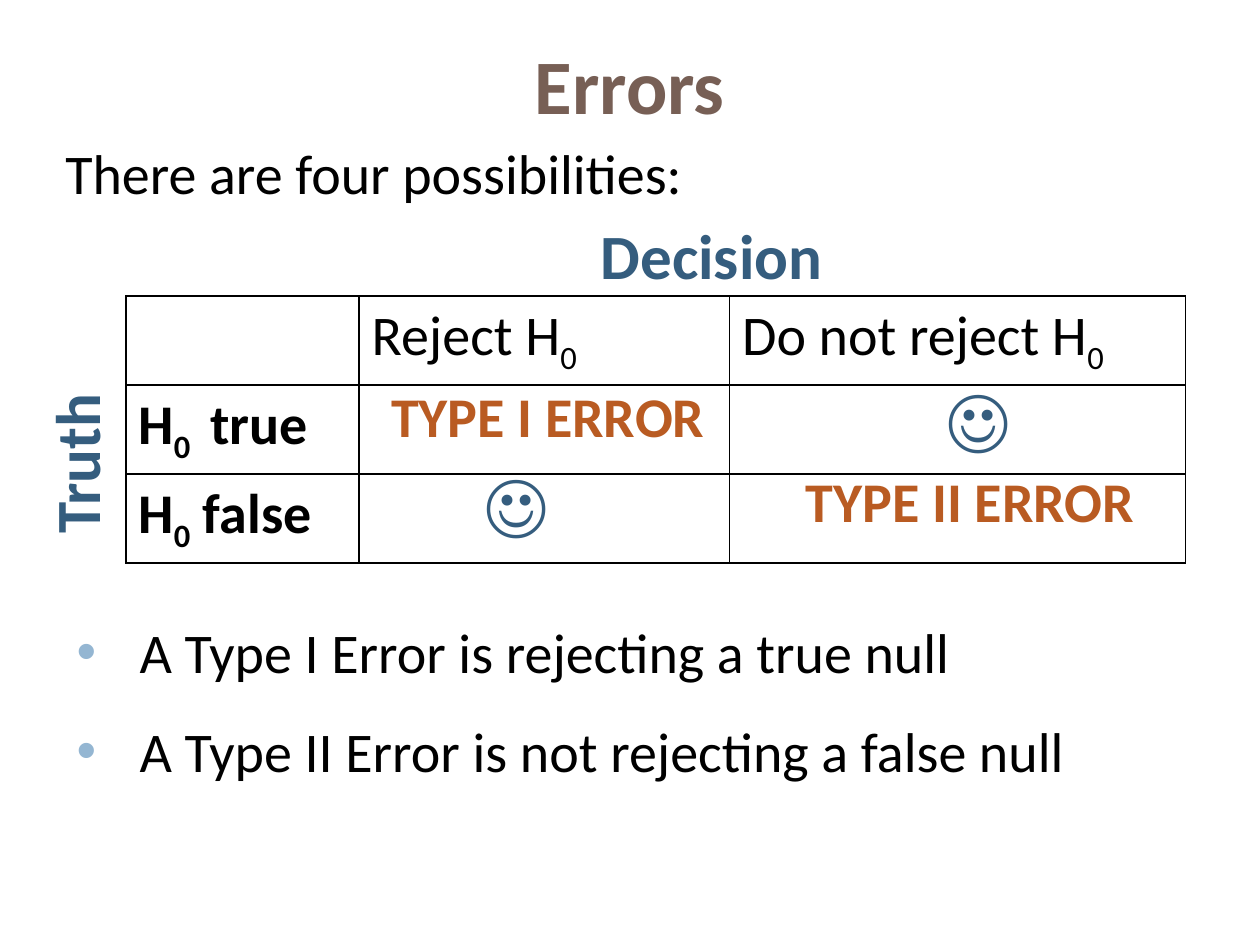
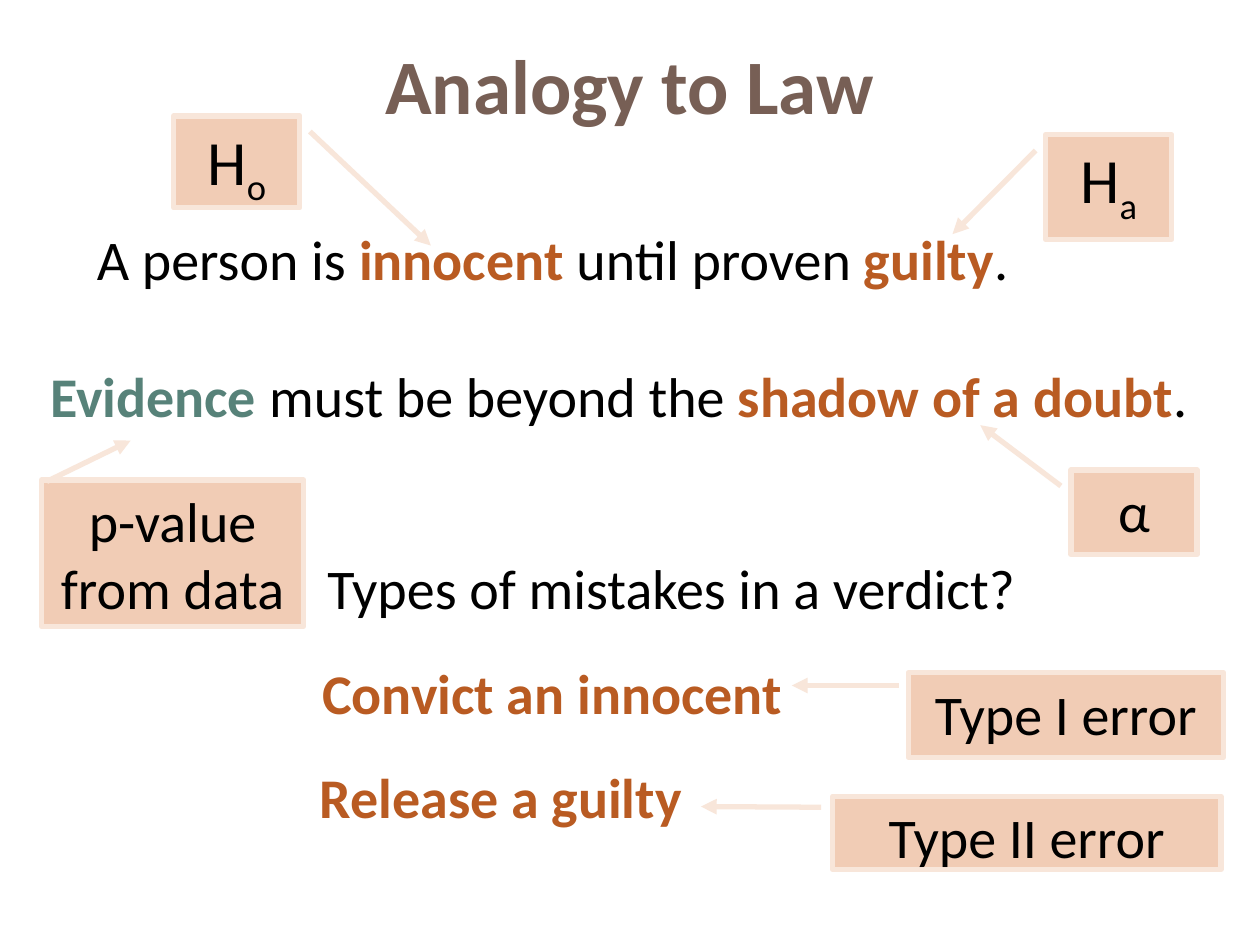
from dataclasses import dataclass, replace
from typing import Optional

import pptx
import pptx.dml.color
import pptx.enum.shapes
import pptx.enum.text
import pptx.oxml
import pptx.oxml.ns
import pptx.util
from pptx.util import Inches

FONT = "Calibri"
BLACK = "000000"
BROWN = "775F55"
NAVY = "355D7E"
RUST = "B95B22"
GREEN = "578279"
BULLET_BLUE = "94B6D2"
PEACH = "F1CCB5"
PALE_PEACH = "F8E6DA"

ALIGN = pptx.enum.text.PP_ALIGN


@dataclass(frozen=True)
class TextStyle:
    size: int = 32
    color: str = BLACK
    bold: bool = False
    align: ALIGN = ALIGN.LEFT


@dataclass(frozen=True)
class Span:
    """A piece of a paragraph; None means as the paragraph."""
    text: str
    color: Optional[str] = None
    bold: Optional[bool] = None
    subscript: bool = False


@dataclass(frozen=True)
class Box:
    left: float
    top: float
    width: float
    height: float

    def lengths(self) -> tuple:
        return tuple(map(Inches, (self.left, self.top, self.width, self.height)))


@dataclass(frozen=True)
class Label:
    box: Box
    spans: tuple
    style: TextStyle
    rotation: int = 0


@dataclass(frozen=True)
class Callout:
    """A framed box; pointer holds start y, x and tip y, x as shares of the box."""
    box: Box
    spans: tuple
    pointer: tuple
    size: int = 32


BODY = TextStyle()
BOLD = replace(BODY, bold=True)
TITLE = TextStyle(44, BROWN, True, ALIGN.CENTER)
ERROR = TextStyle(32, RUST, True, ALIGN.CENTER)
MISTAKE = replace(ERROR, align=ALIGN.LEFT)
AXIS = TextStyle(36, NAVY, True)
SMILEY = TextStyle(40, NAVY)
TITLE_BOX = Box(0.54, 0.25, 8.92, 1.33)


def plain(text: str) -> tuple:
    return (Span(text),)


def strong(text: str, color: str = RUST) -> Span:
    return Span(text, color, True)


def with_subscript(text: str, index: str, rest: str = "") -> tuple:
    spans = (Span(text), Span(index, subscript=True))
    return spans + plain(rest) if rest else spans


def rgb(color: str) -> pptx.dml.color.RGBColor:
    return pptx.dml.color.RGBColor.from_string(color)


def add_xml(parent, tag: str, content: str = "", attributes: str = "") -> None:
    namespace = pptx.oxml.ns.nsdecls("a")
    parent.append(pptx.oxml.parse_xml(f"<a:{tag} {namespace} {attributes}>{content}</a:{tag}>"))


def solid_fill(color: str) -> str:
    return f'<a:solidFill><a:srgbClr val="{color}"/></a:solidFill>'


def write(paragraph, spans: tuple, style: TextStyle) -> None:
    paragraph.alignment = style.align
    paragraph.font.name = FONT
    paragraph.font.size = pptx.util.Pt(style.size)
    paragraph.font.bold = style.bold
    paragraph.font.color.rgb = rgb(style.color)
    for span in spans:
        run = paragraph.add_run()
        run.text = span.text
        if span.color:
            run.font.color.rgb = rgb(span.color)
        if span.bold is not None:
            run.font.bold = span.bold
        if span.subscript:
            run._r.get_or_add_rPr().set("baseline", "-25000")


def add_titled_slide(presentation, text: str):
    slide = presentation.slides.add_slide(presentation.slide_layouts[5])
    title = slide.shapes.title
    title.left, title.top, title.width, title.height = TITLE_BOX.lengths()
    title.text_frame.vertical_anchor = pptx.enum.text.MSO_ANCHOR.TOP
    title.text_frame.auto_size = pptx.enum.text.MSO_AUTO_SIZE.NONE
    write(title.text_frame.paragraphs[0], plain(text), TITLE)
    return slide


def add_text_frame(slide, box: Box, rotation: int = 0):
    shape = slide.shapes.add_textbox(*box.lengths())
    shape.rotation = rotation
    shape.text_frame.word_wrap = True
    return shape.text_frame


def add_label(slide, label: Label) -> None:
    frame = add_text_frame(slide, label.box, label.rotation)
    write(frame.paragraphs[0], label.spans, label.style)


def add_bullets(slide, box: Box, lines: tuple) -> None:
    frame = add_text_frame(slide, box)
    for index, line in enumerate(lines):
        paragraph = frame.add_paragraph() if index else frame.paragraphs[0]
        paragraph.space_after = pptx.util.Pt(18)
        properties = paragraph._p.get_or_add_pPr()
        properties.set("marL", str(Inches(0.5)))
        properties.set("indent", str(-Inches(0.5)))
        add_xml(properties, "buClr", f'<a:srgbClr val="{BULLET_BLUE}"/>')
        add_xml(properties, "buFont", attributes='typeface="Arial"')
        add_xml(properties, "buChar", attributes='char="•"')
        write(paragraph, plain(line), BODY)


def add_grid(slide, box: Box, widths: tuple, rows: tuple) -> None:
    """Draw an unfilled table with thin black borders and a bold first column."""
    table = slide.shapes.add_table(len(rows), len(widths), *box.lengths()).table
    table.first_row = table.horz_banding = False
    for column, width in zip(table.columns, widths):
        column.width = Inches(width)
    for row, row_spans in zip(table.rows, rows):
        row.height = Inches(box.height / len(rows))
        for index, (cell, spans) in enumerate(zip(row.cells, row_spans)):
            for side in "LRTB":
                add_xml(cell._tc.get_or_add_tcPr(), f"ln{side}", solid_fill(BLACK),
                        f'w="{pptx.util.Pt(1)}"')
            cell.fill.background()
            write(cell.text_frame.paragraphs[0], spans, BODY if index else BOLD)


def add_callout(slide, callout: Callout) -> None:
    shape = slide.shapes.add_shape(pptx.enum.shapes.MSO_SHAPE.LINE_CALLOUT_1,
                                   *callout.box.lengths())
    for index, share in enumerate(callout.pointer):
        shape.adjustments[index] = share
    shape.shadow.inherit = False
    shape.fill.solid()
    shape.fill.fore_color.rgb = rgb(PEACH)
    shape.line.color.rgb = rgb(PALE_PEACH)
    shape.line.width = pptx.util.Pt(3)
    line = shape._element.spPr.find(pptx.oxml.ns.qn("a:ln"))
    add_xml(line, "tailEnd", attributes='type="triangle"')
    frame = shape.text_frame
    frame.word_wrap = True
    frame.vertical_anchor = pptx.enum.text.MSO_ANCHOR.TOP
    write(frame.paragraphs[0], callout.spans,
          TextStyle(callout.size, align=ALIGN.CENTER))


def build_errors(presentation) -> None:
    slide = add_titled_slide(presentation, "Errors")
    add_grid(slide, Box(1, 2.35, 8.41, 2.12), (1.85, 2.94, 3.62), (
        ((), with_subscript("Reject H", "0"), with_subscript("Do not reject H", "0")),
        (with_subscript("H", "0 ", " true"), (), ()),
        (with_subscript("H", "0", " false"), (), ()),
    ))
    for label in (
        Label(Box(0.42, 1.05, 8.83, 0.64), plain("There are four possibilities:"), BODY),
        Label(Box(3.75, 3.6, 0.68, 0.77), plain("☺"), SMILEY),
        Label(Box(7.41, 2.92, 0.68, 0.77), plain("☺"), SMILEY),
        Label(Box(2.95, 2.98, 2.8, 0.64), plain("TYPE I ERROR"), ERROR),
        Label(Box(6.24, 3.65, 2.92, 0.64), plain("TYPE II ERROR"), ERROR),
        Label(Box(-0.24, 3.14, 1.68, 0.71), plain("Truth"), AXIS, rotation=270),
        Label(Box(4.67, 1.67, 2.83, 0.71), plain("Decision"), AXIS),
    ):
        add_label(slide, label)
    add_bullets(slide, Box(0.51, 4.85, 8.83, 2.15), (
        "A Type I Error is rejecting a true null",
        "A Type II Error is not rejecting a false null",
    ))


def build_analogy(presentation) -> None:
    slide = add_titled_slide(presentation, "Analogy to Law")
    presumption = (Span("A person is "), strong("innocent "), Span("until proven "),
                   strong("guilty"), Span("."))
    standard = (strong("Evidence ", GREEN), Span("must be beyond the "),
                strong("shadow of a doubt"), Span("."))
    for label in (
        Label(Box(0.67, 1.73, 8.92, 0.64), presumption, BODY),
        Label(Box(0.3, 2.82, 9.42, 0.64), standard, BODY),
        Label(Box(2.5, 4.34, 7, 0.64), plain("Types of mistakes in a verdict?"), BODY),
        Label(Box(2.46, 5.18, 6, 0.64), plain("Convict an innocent"), MISTAKE),
        Label(Box(2.44, 6, 4.17, 0.64), plain("Release a guilty"), MISTAKE),
    ):
        add_label(slide, label)
    for callout in (
        Callout(Box(1.38, 0.92, 1, 0.73), with_subscript("H", "o"),
                (0.17, 1.08, 1.41, 2.04), 36),
        Callout(Box(8.3, 1.07, 1, 0.83), with_subscript("H", "a"),
                (0.15, -0.08, 0.95, -0.74), 36),
        Callout(Box(8.5, 3.73, 1, 0.67), plain("α"), (0.19, -0.08, -0.53, -0.72)),
        Callout(Box(7.21, 5.34, 2.5, 0.67), plain("Type I error"),
                (0.15, -0.03, 0.15, -0.37)),
        Callout(Box(6.61, 6.32, 3.08, 0.58), plain("Type II error"),
                (0.15, -0.03, 0.14, -0.34)),
        Callout(Box(0.33, 3.81, 2.08, 1.16), plain("p-value from data"),
                (0.01, 0.02, -0.27, 0.34)),
    ):
        add_callout(slide, callout)


def main() -> None:
    presentation = pptx.Presentation()
    presentation.slide_width = Inches(10)
    presentation.slide_height = Inches(7.5)
    build_errors(presentation)
    build_analogy(presentation)
    presentation.save("out.pptx")


if __name__ == "__main__":
    main()
